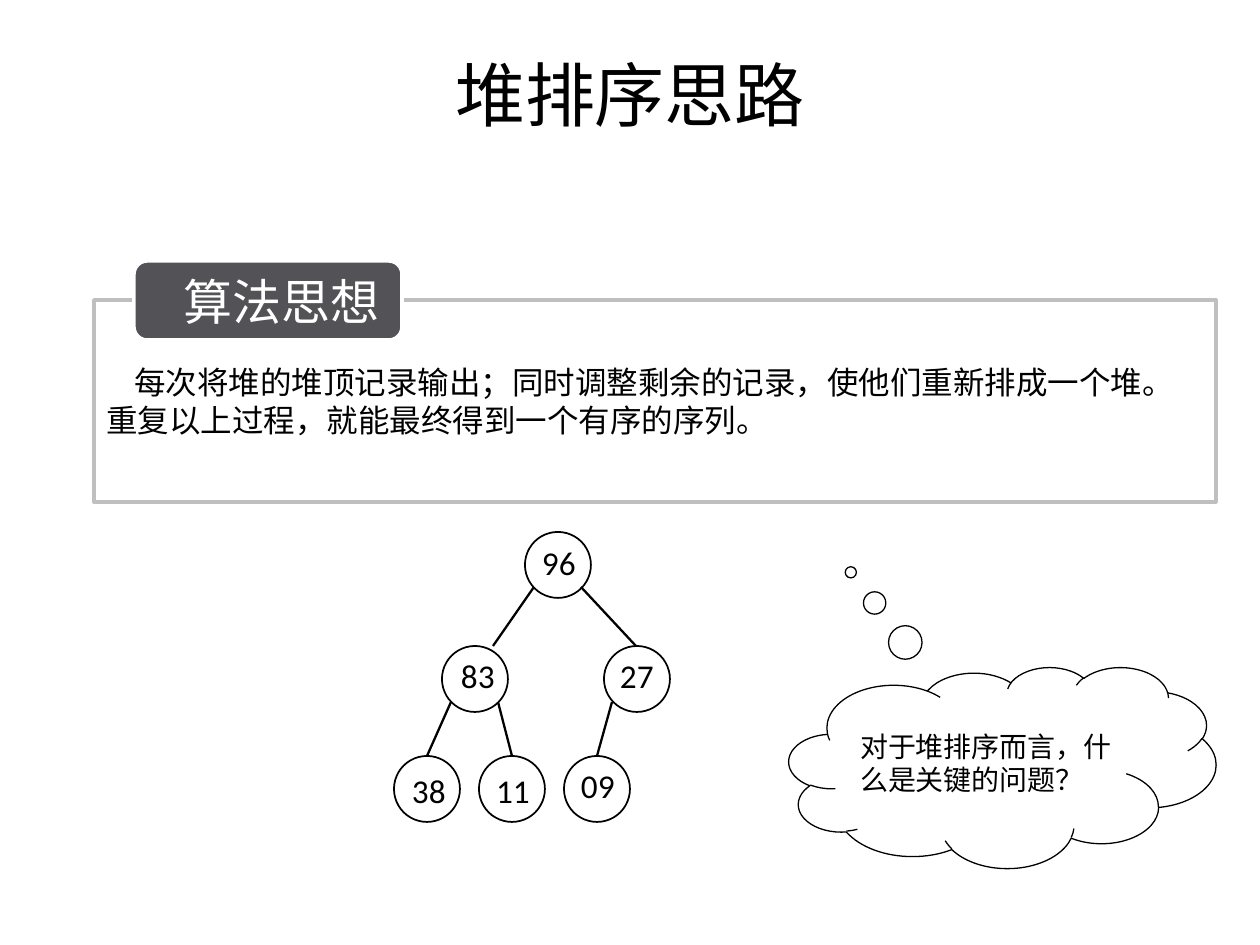
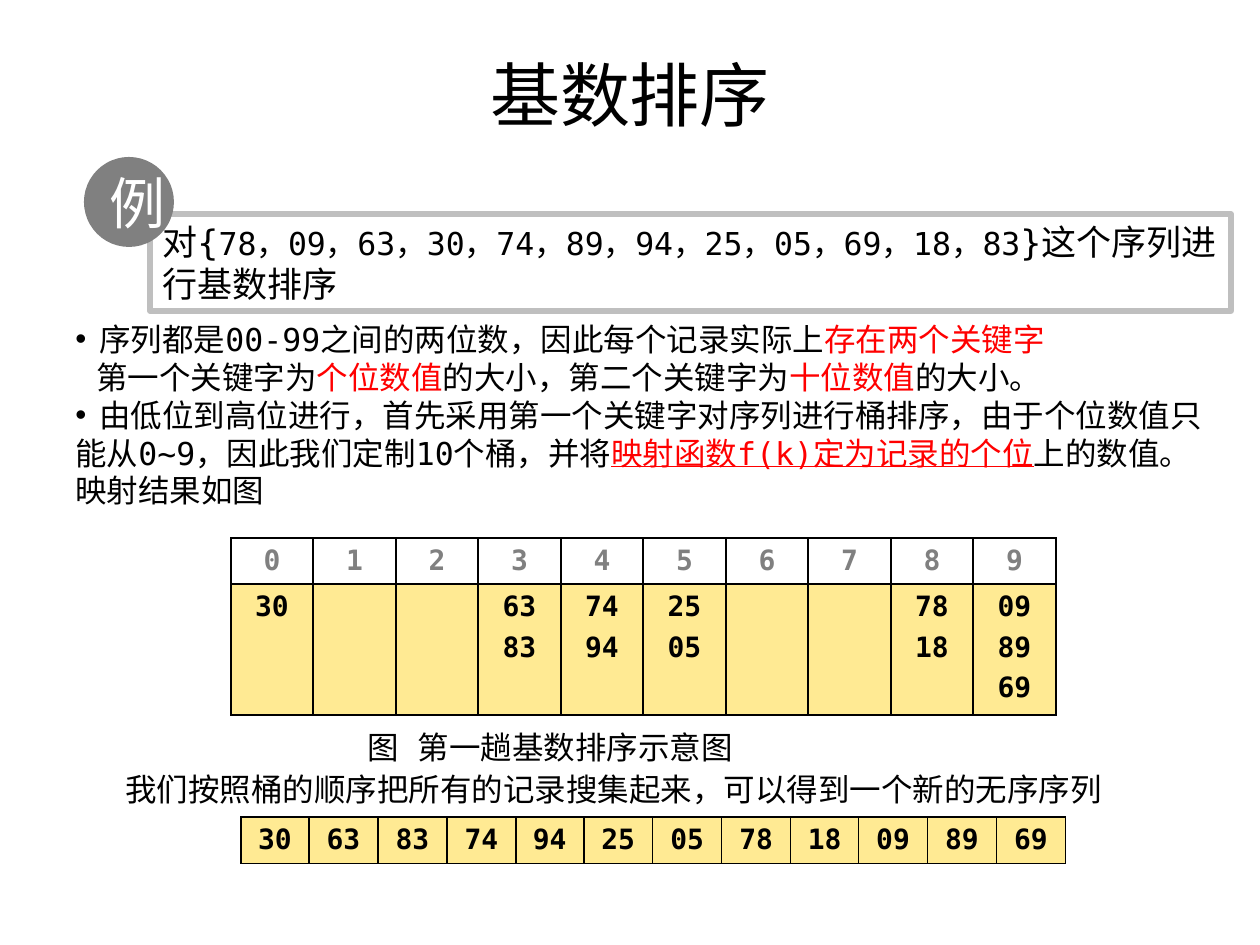
from lxml import etree
from pptx import Presentation
from pptx import util as u
from pptx.dml.color import RGBColor
from pptx.enum import shapes, text
from pptx.oxml import ns

PX = 914400 / 126
MONO, TITLE_FONT, LABEL_FONT = "DejaVu Sans Mono", "Noto Sans CJK JP", "Noto Sans CJK SC"
BLACK = RGBColor(0x00, 0x00, 0x00)
WHITE = RGBColor(0xFF, 0xFF, 0xFF)
RED = RGBColor(0xFF, 0x00, 0x00)
GRAY = RGBColor(0x80, 0x80, 0x80)
FRAME_GRAY = RGBColor(0xBF, 0xBF, 0xBF)
TAG_GRAY = RGBColor(0x53, 0x53, 0x57)
BUCKET_YELLOW = RGBColor(0xFF, 0xEA, 0x93)
CENTER = text.PP_ALIGN.CENTER
MIDDLE = text.MSO_ANCHOR.MIDDLE
NODE = 66


def px(length):
    return u.Emu(round(length * PX))


def box(*lengths):
    return [px(length) for length in lengths]


def child(parent, tag, **attributes):
    return etree.SubElement(parent, ns.qn(tag), {k: str(v) for k, v in attributes.items()})


def write(frame, runs, size=18, font=MONO, color=BLACK, bold=False, align=None,
          anchor=None, indent=0, bullet_gap=0, line=None, before=None):
    first = frame.paragraphs[0]
    paragraph = frame.add_paragraph() if first.runs else first
    if anchor is not None:
        frame.vertical_anchor = anchor
    properties = paragraph._p.get_or_add_pPr()
    properties.set("marL", "0")
    properties.set("indent", str(px(indent)))
    if bullet_gap:
        child(properties, "a:buFont", typeface="Arial")
        child(properties, "a:buChar", char="•")
        child(child(properties, "a:tabLst"), "a:tab", pos=px(bullet_gap), algn="l")
    paragraph.alignment = align
    if line:
        paragraph.line_spacing = u.Pt(line)
    if before and paragraph is not first:
        paragraph.space_before = u.Pt(before)
    for part in [runs] if isinstance(runs, str) else runs:
        words, changes = (part, {}) if isinstance(part, str) else part
        run = paragraph.add_run()
        run.text = words
        run.font.size = u.Pt(changes.get("size", size))
        run.font.name = font
        run.font.bold = bold
        run.font.underline = changes.get("underline")
        run.font.color.rgb = changes.get("color", color)
        child(run._r.get_or_add_rPr(), "a:ea", typeface=font)


def title_slide(deck, heading):
    slide = deck.slides.add_slide(deck.slide_layouts[5])
    title = slide.shapes.title
    title.left, title.top, title.width, title.height = box(63, 45, 1134, 98)
    write(title.text_frame, heading, size=40, font=TITLE_FONT, align=CENTER, anchor=MIDDLE)
    return slide


def shape(parent, kind, place, fill=None, line=None, weight=1):
    figure = parent.add_shape(kind, *box(*place))
    figure.shadow.inherit = False
    if fill is None:
        figure.fill.background()
    else:
        figure.fill.solid()
        figure.fill.fore_color.rgb = fill
    if line is None:
        figure.line.fill.background()
    else:
        figure.line.color.rgb = line
        figure.line.width = u.Pt(weight)
    return figure


def text_box(parent, place, margin=True):
    frame = parent.add_textbox(*box(*place)).text_frame
    frame.word_wrap = margin
    if not margin:
        frame.margin_left = frame.margin_right = frame.margin_top = frame.margin_bottom = 0
    return frame


def heap_node(tree, key, left, top, dx, dy):
    shape(tree, shapes.MSO_SHAPE.OVAL, (left, top, NODE, NODE), line=BLACK)
    label = text_box(tree, (left + dx, top + dy, 34, 21), margin=False)
    write(label, key, size=19, font="Calibri", anchor=MIDDLE, line=12)


def heap_edge(tree, *ends):
    edge = tree.add_connector(shapes.MSO_CONNECTOR.STRAIGHT, *box(*ends))
    edge.line.color.rgb = BLACK
    edge.line.width = u.Pt(1.3)
    child(edge._element.spPr, "a:effectLst")


def border(cell):
    properties = cell._tc.get_or_add_tcPr()
    for position, side in enumerate(("a:lnL", "a:lnR", "a:lnT", "a:lnB")):
        edge = etree.Element(ns.qn(side), w=str(u.Pt(1)))
        child(child(edge, "a:solidFill"), "a:srgbClr", val=BLACK)
        properties.insert(position, edge)


def bucket_table(slide, left, top, width, heights, rows, header=False):
    count = len(rows[0])
    table = slide.shapes.add_table(len(rows), count, *box(left, top, width, sum(heights))).table
    table.first_row = table.horz_banding = False
    for index, column in enumerate(table.columns):
        column.width = px(width * (index + 1) // count - width * index // count)
    for row_index, (height, row) in enumerate(zip(heights, rows)):
        table.rows[row_index].height = px(height)
        is_header = header and row_index == 0
        for column_index, keys in enumerate(row):
            cell = table.cell(row_index, column_index)
            cell.fill.solid()
            cell.fill.fore_color.rgb = WHITE if is_header else BUCKET_YELLOW
            border(cell)
            if is_header:
                cell.vertical_anchor = MIDDLE
            for key in keys.split():
                write(cell.text_frame, key, size=16, bold=True, align=CENTER, before=4.8,
                      color=GRAY if is_header else BLACK)


def heap_slide(deck):
    slide = title_slide(deck, "堆排序思路")
    tree = slide.shapes.add_group_shape().shapes
    for node in (("96", 525, 532, 17, 29), ("83", 442, 646, 19, 28), ("27", 604, 646, 16, 28),
                 ("38", 394, 756, 18, 33), ("11", 479, 756, 17, 33), ("09", 564, 756, 17, 28)):
        heap_node(tree, *node)
    for ends in ((534, 587, 493, 646), (451, 702, 427, 756), (498, 702, 512, 756),
                 (581, 587, 636, 646), (612, 702, 597, 756)):
        heap_edge(tree, *ends)

    question = shape(slide.shapes, shapes.MSO_SHAPE.CLOUD_CALLOUT, (789, 667, 427, 201),
                     fill=WHITE, line=BLACK, weight=0.75)
    question.adjustments[0], question.adjustments[1] = -0.355, -0.971
    write(question.text_frame, "对于堆排序而言，什么是关键的问题？", size=16, anchor=MIDDLE,
          align=text.PP_ALIGN.LEFT)

    idea = shape(slide.shapes, shapes.MSO_SHAPE.RECTANGLE, (94, 300, 1122, 202),
                 line=FRAME_GRAY, weight=2)
    write(idea.text_frame, "每次将堆的堆顶记录输出；同时调整剩余的记录，使他们重新排成一个堆。"
          "重复以上过程，就能最终得到一个有序的序列。", anchor=MIDDLE, indent=28,
          align=text.PP_ALIGN.LEFT)

    tag = shape(slide.shapes, shapes.MSO_SHAPE.ROUNDED_RECTANGLE, (134, 261, 268, 79),
                fill=TAG_GRAY, line=WHITE, weight=2)
    tag.text_frame.margin_left = px(40)
    write(tag.text_frame, "算法思想", size=28, font=LABEL_FONT, color=WHITE, align=CENTER,
          anchor=MIDDLE)


def radix_slide(deck):
    slide = title_slide(deck, "基数排序")
    task = shape(slide.shapes, shapes.MSO_SHAPE.RECTANGLE, (150, 214, 1081, 97),
                 line=FRAME_GRAY, weight=3)
    write(task.text_frame,
          ["对{", ("78，09，63，30，74，89，94，25，05，69，18，83", {"size": 18}),
           "}这个序列进行基数排序"],
          size=20, align=text.PP_ALIGN.LEFT, anchor=text.MSO_ANCHOR.TOP)

    red = {"color": RED}
    steps = text_box(slide.shapes, (63, 314, 1153, 242))
    write(steps, ["\t序列都是00-99之间的两位数，因此每个记录实际上", ("存在两个关键字", red)],
          bullet_gap=24)
    write(steps, ["第一个关键字为", ("个位数值", red), "的大小，第二个关键字为",
                  ("十位数值", red), "的大小。"], indent=21)
    write(steps, ["\t由低位到高位进行，首先采用第一个关键字对序列进行桶排序，"
                  "由于个位数值只能从0~9，因此我们定制10个桶，并将",
                  ("映射函数f(k)定为记录的个位", {"color": RED, "underline": True}),
                  "上的数值。映射结果如图"], bullet_gap=24)

    write(text_box(slide.shapes, (355, 722, 905, 50)), "图 第一趟基数排序示意图")
    badge = shape(slide.shapes, shapes.MSO_SHAPE.OVAL, (84, 157, 90, 90), fill=GRAY)
    write(badge.text_frame, "例", size=32, font=LABEL_FONT, color=WHITE, align=CENTER,
          anchor=MIDDLE)
    write(text_box(slide.shapes, (113, 764, 1091, 89)),
          "我们按照桶的顺序把所有的记录搜集起来，可以得到一个新的无序序列")

    buckets = ["30", "", "", "63 83", "74 94", "25 05", "", "", "78 18", "09 89 69"]
    bucket_table(slide, 231, 538, 825, (46, 131), ["0123456789", buckets], header=True)
    bucket_table(slide, 241, 817, 825, (46,), [" ".join(buckets).split()])


def main():
    deck = Presentation()
    deck.slide_width, deck.slide_height = box(1260, 945)
    heap_slide(deck)
    radix_slide(deck)
    deck.save("out.pptx")


if __name__ == "__main__":
    main()
